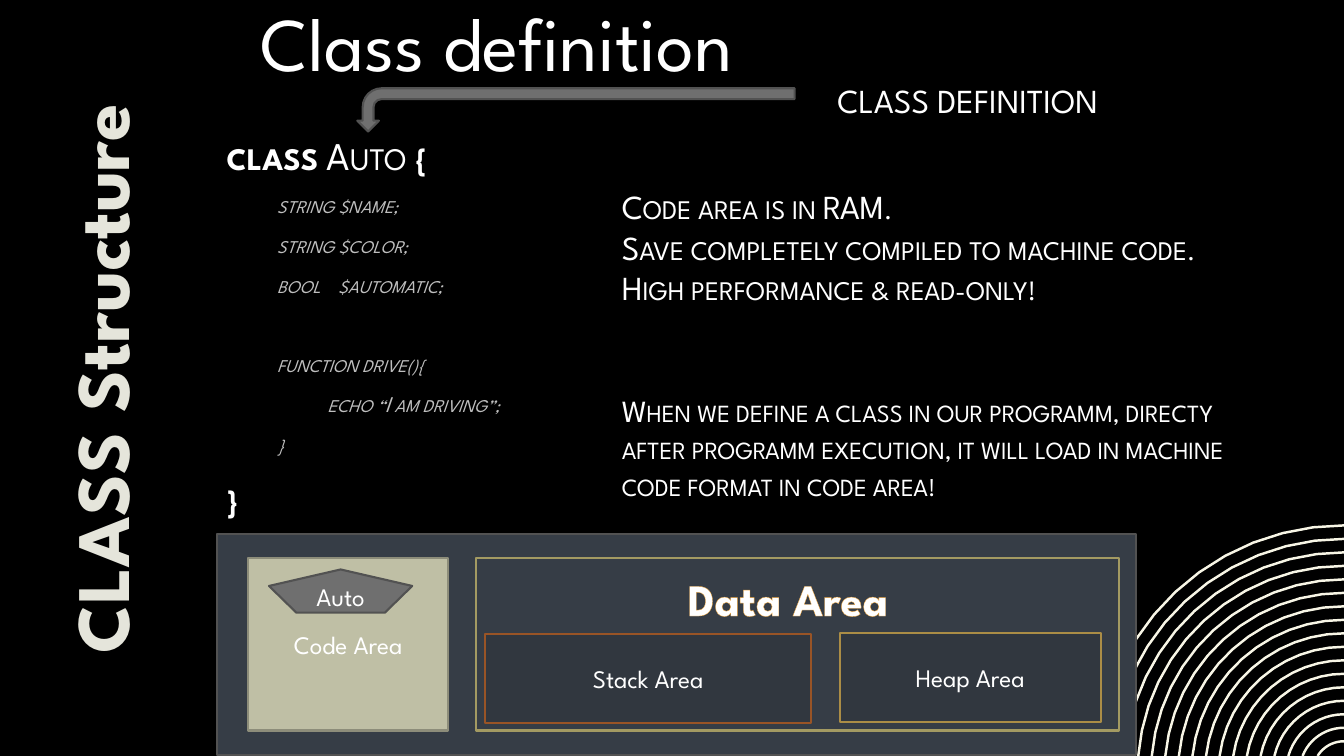
from math import asin, cos, pi, sin

from lxml import etree
from pptx import Presentation
from pptx.dml.color import RGBColor
from pptx.enum.shapes import MSO_SHAPE
from pptx.enum.text import MSO_ANCHOR, MSO_AUTO_SIZE, PP_ALIGN
from pptx.oxml.ns import qn
from pptx.util import Cm, Pt

RECT, ARROW, PENTA = MSO_SHAPE.RECTANGLE, MSO_SHAPE.BENT_ARROW, MSO_SHAPE.REGULAR_PENTAGON
LEFT, MID, JUST = PP_ALIGN.LEFT, PP_ALIGN.CENTER, PP_ALIGN.JUSTIFY
CENTER, BASE = MSO_ANCHOR.MIDDLE, MSO_ANCHOR.BOTTOM
FIXED = MSO_AUTO_SIZE.NONE

FACE = "League Spartan"
WHITE, GREY = "FFFFFF", "BFBFBF"
SLIDE = (33.87, 19.05)

TITLE = ("CLASS DEFINITION", (20.85, 1.85, 9.86, 1.3))
BODY = (5.46, 1.01, 16.51, 14.4)
CODE = [
    (0, 0, [("class ", True), ("Auto", False), (" {", True)]),
    (1, 0, "string $name;"),
    (1, 0, "string $color;"),
    (1, 0, "bool    $automatic;"),
    (1, 1, "function drive(){"),
    (2, 0, "echo “I am driving”;"),
    (1, 0, "}"),
    (0, 0, [("}", True)]),
]
LABELS = [
    (["Class definition"], (5.92, -0.23, 13.21, 2.57),
     dict(size=54, align=MID, wrap=False), 0),
    (["When we define a class in our programm, directy after programm "
      "execution, it will load in machine code format in code area!"],
     (15.42, 9.75, 16.21, 3.07), dict(size=22, small=True), 0),
    (["CLASS Structure"], (-7.01, 8.26, 19.05, 2.57),
     dict(size=54, align=MID, bold=True, color="E5E5DB", edge=("BFBFA5", 1.75)), 270),
    (["Code area is in RAM.",
      "Save completely compiled to machine code.",
      "High performance & read-only!"],
     (15.42, 4.57, 17.4, 4.37), dict(size=24, small=True), 0),
]
BOXES = [
    (RECT, "", (5.46, 13.46, 23.16, 5.56), "363D46", "525252"),
    (RECT, "Code Area", (6.25, 14.07, 5.05, 4.34), "BFBFA5", "8D8D7A"),
    (RECT, "", (11.99, 14.07, 16.21, 4.34), "363D46", "A39A62"),
    (RECT, "Heap Area", (21.16, 15.95, 6.58, 2.24), "31373F", "AB8D46"),
    (RECT, "Stack Area", (12.22, 15.98, 8.23, 2.24), "31373F", "995426"),
    (PENTA, "Auto", (6.78, 14.35, 3.61, 1.09), "6F6F6F", "525252"),
]
DATA = ("Data Area", (17.04, 14.27, 5.64, 1.63))
BEND = (13.97, -2.74, 1.09, 11.02)
RINGS = dict(count=17, mid=(33.87, 19.46), outer=6.22, step=0.34, parts=12)


def paint(target, hue):
    target.solid()
    target.fore_color.rgb = RGBColor.from_string(hue)


def place(shape, box):
    shape.left, shape.top, shape.width, shape.height = map(Cm, box)


def write(para, text, size=18, color=WHITE, bold=False, italic=False,
          small=False, align=LEFT, edge=None):
    para.alignment = align
    run = para.add_run()
    run.text = text
    font = run.font
    font.name, font.size, font.bold, font.italic = FACE, Pt(size), bold, italic
    paint(font.fill, color)
    props = run._r.get_or_add_rPr()
    if small:
        props.set("cap", "small")
    if edge:
        hue, width = edge
        line = etree.Element(qn("a:ln"), w=str(Pt(width)))
        solid = etree.SubElement(line, qn("a:solidFill"))
        etree.SubElement(solid, qn("a:srgbClr"), val=hue)
        props.insert(0, line)


def label(slide, lines, box, form, turn=0):
    shape = slide.shapes.add_textbox(*map(Cm, box))
    shape.rotation = turn
    form = dict(form)
    frame = shape.text_frame
    frame.word_wrap = form.pop("wrap", True)
    for i, text in enumerate(lines):
        para = frame.add_paragraph() if i else frame.paragraphs[0]
        write(para, text, **form)
    return shape


def block(slide, kind, text, box, fill, line):
    shape = slide.shapes.add_shape(kind, *map(Cm, box))
    shape.shadow.inherit = False
    paint(shape.fill, fill)
    paint(shape.line.fill, line)
    shape.line.width = Pt(1.5)
    if text:
        shape.text_frame.vertical_anchor = CENTER
        write(shape.text_frame.paragraphs[0], text, align=MID)
    return shape


def arc(radius):
    x, y = RINGS["mid"]
    parts = RINGS["parts"]
    low = asin((y - SLIDE[1]) / radius)
    turns = [low + (pi / 2 - low) * i / parts for i in range(parts + 1)]
    return [(Cm(x - radius * cos(t)), Cm(y - radius * sin(t))) for t in turns]


def rings(slide):
    build = None
    for i in range(RINGS["count"]):
        start, *rest = arc(RINGS["outer"] - i * RINGS["step"])
        if build is None:
            build = slide.shapes.build_freeform(*start)
        else:
            build.move_to(*start)
        build.add_line_segments(rest, close=False)
    shape = build.convert_to_shape()
    shape.shadow.inherit = False
    shape.fill.background()
    paint(shape.line.fill, "F8F6E6")
    shape.line.width = Pt(1.75)


def listing(holder):
    place(holder, BODY)
    frame = holder.text_frame
    frame.auto_size = FIXED
    frame.vertical_anchor = CENTER
    for i, (level, skip, parts) in enumerate(CODE):
        para = frame.add_paragraph() if i else frame.paragraphs[0]
        props = para._p.get_or_add_pPr()
        props.set("marL", str(Cm(1.27 * level)))
        props.set("indent", "0")
        etree.SubElement(props, qn("a:buNone"))
        size = 16 if level else 28
        para.space_before = Pt(0.2 * size + 28.4 * skip if i else 0)
        para.space_after = Pt(6)
        if level:
            write(para, parts, size=size, color=GREY, italic=True, small=True, align=JUST)
        else:
            for text, bold in parts:
                write(para, text, size=size, bold=bold, small=True, align=JUST)


def main():
    deck = Presentation()
    deck.slide_width, deck.slide_height = map(Cm, SLIDE)
    slide = deck.slides.add_slide(deck.slide_layouts[1])
    paint(slide.background.fill, "000000")
    rings(slide)

    title, body = slide.placeholders
    place(title, TITLE[1])
    title.text_frame.auto_size = FIXED
    title.text_frame.vertical_anchor = BASE
    write(title.text_frame.paragraphs[0], TITLE[0], size=24)
    listing(body)

    bend = block(slide, ARROW, "", BEND, "6F6F6F", "525252")
    bend.rotation = 270
    bend._element.spPr.find(qn("a:xfrm")).set("flipH", "1")

    for item in LABELS:
        label(slide, *item)
    for item in BOXES:
        block(slide, *item)
    form = dict(size=32, bold=True, align=MID, wrap=False, edge=("E9A039", 0.8))
    paint(label(slide, [DATA[0]], DATA[1], form).fill, "363D46")
    deck.save("out.pptx")


if __name__ == "__main__":
    main()
